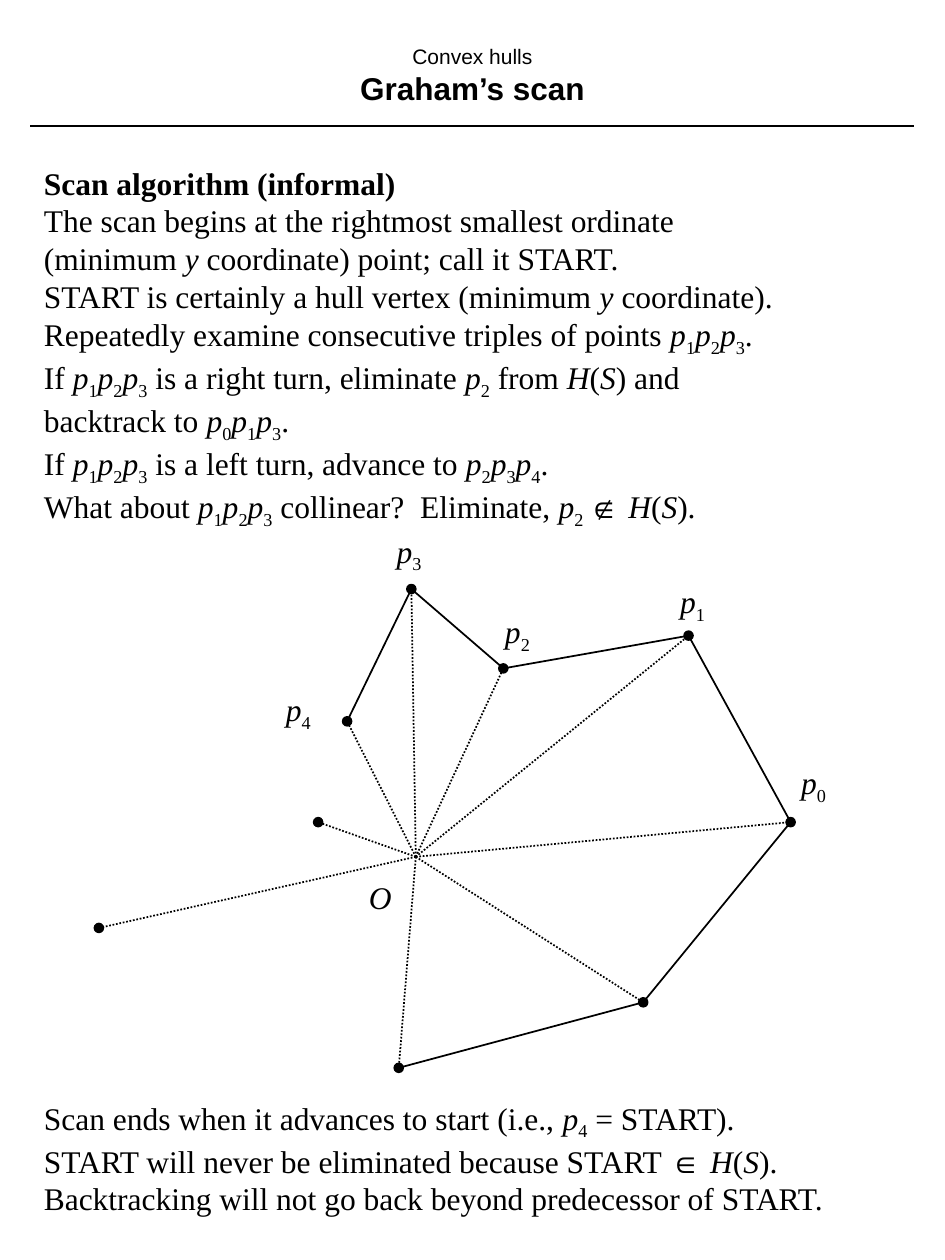
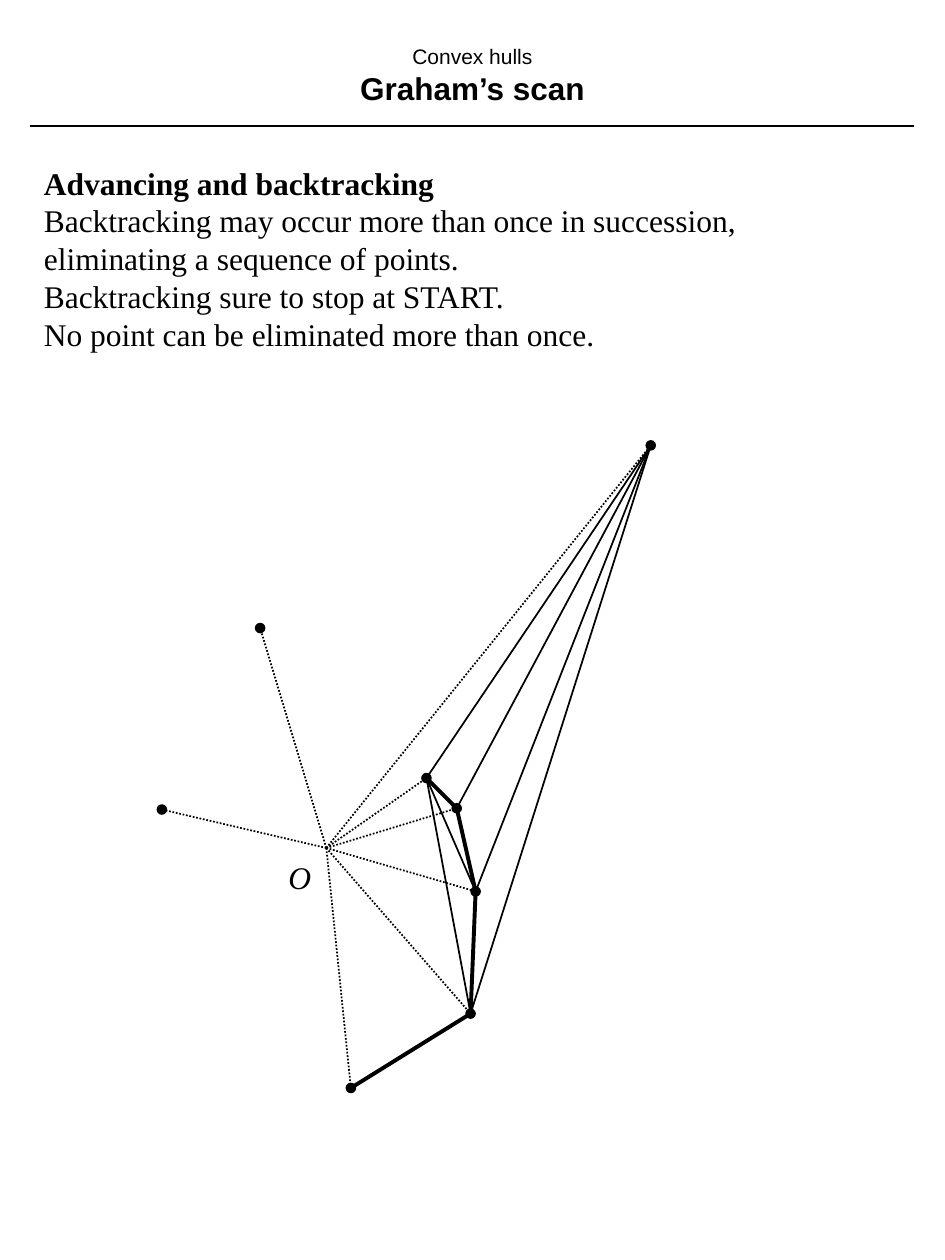
"""Build two slides about Graham's scan for convex hulls."""
from dataclasses import dataclass
from itertools import groupby, pairwise

from lxml.etree import SubElement
from pptx import Presentation
from pptx.dml.color import RGBColor
from pptx.enum.dml import MSO_LINE_DASH_STYLE as Dash
from pptx.enum.shapes import MSO_CONNECTOR as Connector
from pptx.enum.shapes import MSO_SHAPE as Shape
from pptx.enum.text import MSO_ANCHOR as Anchor
from pptx.enum.text import MSO_AUTO_SIZE as AutoSize
from pptx.enum.text import PP_ALIGN as Align
from pptx.oxml.ns import qn
from pptx.util import Inches, Pt

COLUMNS, ROWS = 30, 40
DOT = 0.28
ITALIC, SUBSCRIPT, SYMBOL = "*~^"


@dataclass(frozen=True)
class Theme:
    """Colours, fonts, type sizes and line widths of the deck."""
    ink: RGBColor = RGBColor(0, 0, 0)
    heading_font: str = "Arial"
    body_font: str = "Times New Roman"
    topic_size: int = 12
    text_size: int = 18
    thin: float = 1
    thick: float = 2.25


THEME = Theme()


def cells(count):
    """Return the length of a number of quarter-inch grid cells."""
    return Inches(count / 4)


def style_run(run, font, size, bold=False, italic=False):
    """Give a run its font, size, colour and emphasis."""
    run.font.name = font
    run.font.size = Pt(size)
    run.font.bold = bold
    run.font.italic = italic
    run.font.color.rgb = THEME.ink


def add_marked_runs(paragraph, markup, bold=False):
    """Add runs, switching italic, subscript and symbol font at their marks."""
    active, styled = frozenset(), []
    for character in markup:
        if character in (ITALIC, SUBSCRIPT, SYMBOL):
            active ^= {character}
        else:
            styled.append((character, active))
    for marks, group in groupby(styled, key=lambda item: item[1]):
        run = paragraph.add_run()
        run.text = "".join(character for character, _ in group)
        font = THEME.heading_font if SYMBOL in marks else THEME.body_font
        style_run(run, font, THEME.text_size, bold, ITALIC in marks)
        if SUBSCRIPT in marks:
            run.font._element.set("baseline", "-25000")


def add_text(slide, left, top, width, height, lines, headed=False):
    """Add a text box with one paragraph for each marked line."""
    box = slide.shapes.add_textbox(*map(cells, (left, top, width, height)))
    frame = box.text_frame
    frame.word_wrap = False
    frame.auto_size = AutoSize.SHAPE_TO_FIT_TEXT
    for index, line in enumerate(lines):
        paragraph = frame.add_paragraph() if index else frame.paragraphs[0]
        add_marked_runs(paragraph, line, bold=headed and index == 0)


def add_line(slide, start, end, width=THEME.thin, dash=None):
    """Draw a straight line between two grid positions."""
    line = slide.shapes.add_connector(Connector.STRAIGHT, *map(cells, (*start, *end)))
    line.line.color.rgb = THEME.ink
    line.line.width = Pt(width)
    if dash:
        line.line.dash_style = dash
    SubElement(line._element.spPr, qn("a:effectLst"))


def add_dot(slide, centre):
    """Draw a point of the set."""
    left, top = (cells(value - DOT / 2) for value in centre)
    dot = slide.shapes.add_shape(Shape.OVAL, left, top, cells(DOT), cells(DOT))
    dot.shadow.inherit = False
    dot.fill.solid()
    dot.fill.fore_color.rgb = THEME.ink
    dot.line.color.rgb = THEME.ink
    dot.line.width = Pt(THEME.thin)


def add_star(slide, origin, points):
    """Draw all points with a dotted ray to each from the origin."""
    for centre in points.values():
        add_dot(slide, centre)
        add_line(slide, origin, centre, dash=Dash.ROUND_DOT)


def add_chain(slide, points, names, width=THEME.thin):
    """Join the named points one after another."""
    for start, end in pairwise(names.split()):
        add_line(slide, points[start], points[end], width)


def add_labels(slide, labels):
    """Place each label at its grid position."""
    for markup, (left, top) in labels.items():
        width, height = (1.6, 1.76) if SUBSCRIPT in markup else (1.52, 1.6)
        add_text(slide, left, top, width, height, [markup])


def vertices(*indices):
    """Write a sequence of subscripted points p."""
    return "".join(f"*p*~{index}~" for index in indices)


def prepare_layout(presentation):
    """Set the title style and position that all slides share."""
    master = presentation.slide_master
    title_font = master.element.find(f".//{qn('p:titleStyle')}//{qn('a:defRPr')}")
    title_font.set("sz", str(THEME.topic_size * 100))
    layout = presentation.slide_layouts.get_by_name("Title Only")
    title = layout.placeholders[0]
    title.left, title.top, title.width, title.height = map(cells, (1, 1, 28, 2.76))
    return layout


def add_headed_slide(presentation, layout):
    """Add a slide with the shared title and rule."""
    slide = presentation.slides.add_slide(layout)
    frame = slide.shapes.title.text_frame
    frame.text = "Convex hulls\vGraham’s scan"
    frame.auto_size = AutoSize.NONE
    frame.vertical_anchor = Anchor.MIDDLE
    paragraph = frame.paragraphs[0]
    paragraph.alignment = Align.CENTER
    topic, heading = paragraph.runs
    style_run(topic, THEME.heading_font, THEME.topic_size)
    style_run(heading, THEME.heading_font, THEME.text_size, bold=True)
    add_line(slide, (29, 4), (0.96, 4))
    return slide


def build_scan_slide(slide):
    """Describe the scan and show the hull under construction."""
    triple = vertices(1, 2, 3)
    add_text(slide, 1, 5, 24.08, 12, [
        "Scan algorithm (informal)",
        "The scan begins at the rightmost smallest ordinate",
        "(minimum *y* coordinate) point; call it START.",
        "START is certainly a hull vertex (minimum *y* coordinate).",
        f"Repeatedly examine consecutive triples of points {triple}.",
        f"If {triple} is a right turn, eliminate {vertices(2)} from *H*(*S*) and",
        f"backtrack to {vertices(0, 1, 3)}.",
        f"If {triple} is a left turn, advance to {vertices(2, 3, 4)}.",
        f"What about {triple} collinear?  Eliminate, *p*~2 ~^∉ ^*H*(*S*).",
    ], headed=True)
    points = {
        "inner": (10.1, 26.1), "p4": (11.02, 22.9), "p3": (13.06, 18.7),
        "p2": (15.98, 21.22), "p1": (21.86, 20.18), "p0": (25.1, 26.1),
        "second": (20.42, 31.82), "start": (12.66, 33.9), "west": (3.14, 29.46),
    }
    add_star(slide, (13.2, 27.2), points)
    add_chain(slide, points, "p4 p3 p2 p1 p0 second start")
    add_labels(slide, {
        vertices(0): (25.04, 24.04), vertices(1): (21.2, 18.28),
        vertices(2): (15.64, 19.24), vertices(3): (12.2, 16.68),
        vertices(4): (8.68, 21.72), "*O*": (11.32, 27.68),
    })
    add_text(slide, 1, 34.68, 25.76, 4.16, [
        f"Scan ends when it advances to start (i.e., {vertices(4)} = START).",
        "START will never be eliminated because START ^∈ ^*H*(*S*).",
        "Backtracking will not go back beyond predecessor of START.",
    ])


def build_backtracking_slide(slide):
    """Show several points eliminated in succession."""
    add_text(slide, 1, 5, 22.8, 6.4, [
        "Advancing and backtracking",
        "Backtracking may occur more than once in succession,",
        "eliminating a sequence of points.",
        "Backtracking sure to stop at START.",
        "No point can be eliminated more than once.",
    ], headed=True)
    points = {
        "start": (11.14, 34.54), "a": (14.94, 32.18), "b": (15.1, 28.3),
        "c": (14.5, 25.66), "d": (13.54, 24.7), "apex": (20.66, 14.14),
        "north": (8.26, 19.94), "west": (5.14, 25.7),
    }
    add_star(slide, (10.36, 26.92), points)
    add_chain(slide, points, "start a b c d", THEME.thick)
    add_chain(slide, points, "c apex d a apex b d")
    add_labels(slide, {"*O*": (8.76, 27.04)})


def main():
    """Build and save the deck."""
    presentation = Presentation()
    presentation.slide_width = cells(COLUMNS)
    presentation.slide_height = cells(ROWS)
    layout = prepare_layout(presentation)
    for build in (build_scan_slide, build_backtracking_slide):
        build(add_headed_slide(presentation, layout))
    presentation.save("out.pptx")


if __name__ == "__main__":
    main()
